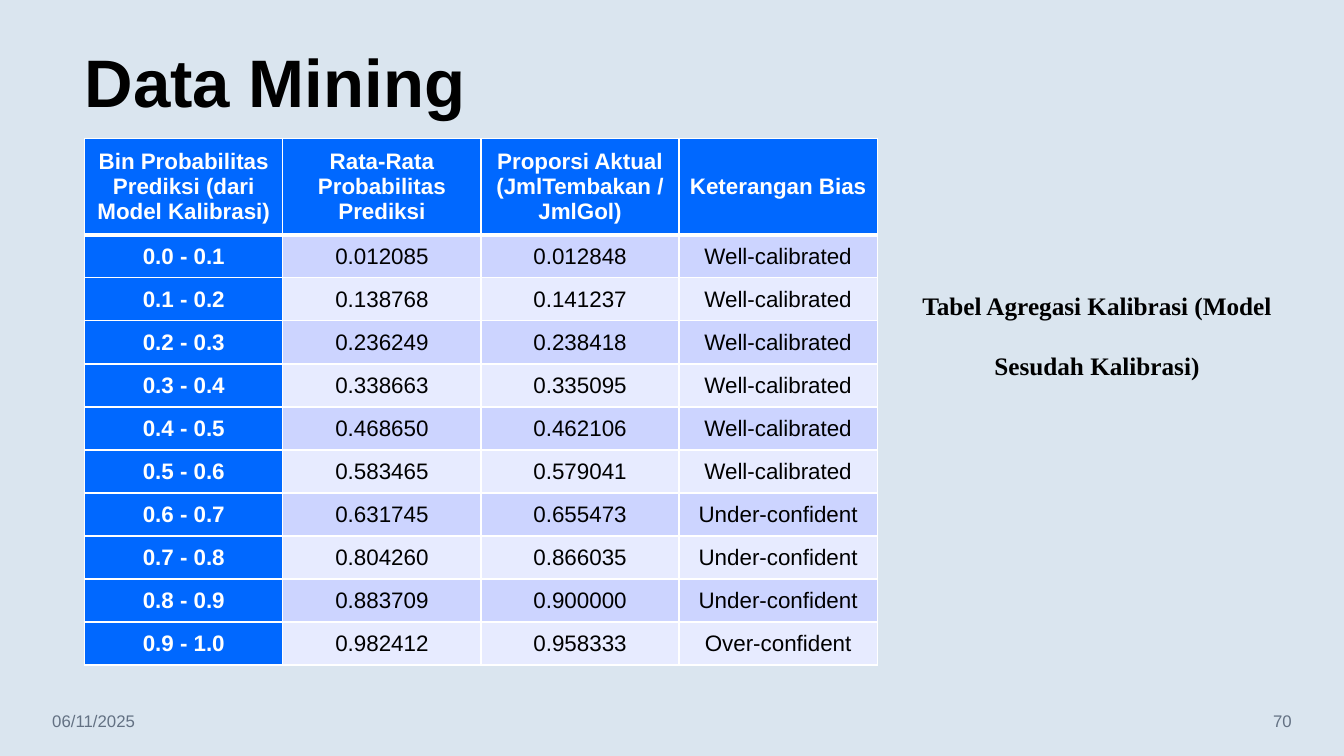
import pptx
import pptx.dml.color
import pptx.enum.text
import pptx.oxml
import pptx.oxml.ns
import pptx.util

SLIDE_W, SLIDE_H = 13.33, 7.5
MARGIN = 0.84
FOOTER_X, FOOTER_Y, FOOTER_W, FOOTER_H = 0.42, 6.95, 3, 0.4
TABLE_Y, TABLE_W, TABLE_H, HEADER_H = 1.37, 7.86, 5.12, 0.95

BLACK, WHITE, GREY = "000000", "FFFFFF", "637183"
BACKGROUND, BLUE = "DAE5EF", "0068FF"
BANDS = ["CCD4FF", "E7EBFF"]

ALIGN = pptx.enum.text.PP_ALIGN
ANCHOR = pptx.enum.text.MSO_ANCHOR
inch = pptx.util.Inches

HEADINGS = [
    "Bin Probabilitas Prediksi (dari Model Kalibrasi)",
    "Rata-Rata Probabilitas Prediksi",
    "Proporsi Aktual (JmlTembakan / JmlGol)",
    "Keterangan Bias",
]
BINS = [
    ("0.012085", "0.012848", "Well-calibrated"),
    ("0.138768", "0.141237", "Well-calibrated"),
    ("0.236249", "0.238418", "Well-calibrated"),
    ("0.338663", "0.335095", "Well-calibrated"),
    ("0.468650", "0.462106", "Well-calibrated"),
    ("0.583465", "0.579041", "Well-calibrated"),
    ("0.631745", "0.655473", "Under-confident"),
    ("0.804260", "0.866035", "Under-confident"),
    ("0.883709", "0.900000", "Under-confident"),
    ("0.982412", "0.958333", "Over-confident"),
]


def rgb(color):
    return pptx.dml.color.RGBColor.from_string(color)


def style(p, size, color, bold=False, align=ALIGN.LEFT, font="Arial"):
    p.alignment = align
    p.font.name = font
    p.font.size = pptx.util.Pt(size)
    p.font.bold = bold
    p.font.color.rgb = rgb(color)


def add_text(s, box, text, size, color, anchor=ANCHOR.MIDDLE, spacing=1.0, **look):
    tf = s.shapes.add_textbox(*map(inch, box)).text_frame
    tf.word_wrap = True
    tf.vertical_anchor = anchor
    p = tf.paragraphs[0]
    p.text = text
    p.line_spacing = spacing
    style(p, size, color, **look)
    return tf


def set_borders(cell, widths):
    """Draw white cell borders; widths maps each side (L, R, T, B) to points."""
    tc_pr = cell._tc.get_or_add_tcPr()
    for side, width in widths.items():
        tc_pr.append(pptx.oxml.parse_xml(
            f'<a:ln{side} {pptx.oxml.ns.nsdecls("a")} w="{pptx.util.Pt(width)}">'
            f'<a:solidFill><a:srgbClr val="{WHITE}"/></a:solidFill></a:ln{side}>'))


def fill_cell(cell, text, row, col):
    heading = row == 0 or col == 0
    inset = inch(0.01 if (row, col) == (0, len(HEADINGS) - 1) else 0.08)
    cell.margin_left = cell.margin_right = inset
    cell.margin_top = cell.margin_bottom = inset
    cell.vertical_anchor = ANCHOR.MIDDLE
    set_borders(cell, {"L": 1, "R": 1, "T": 3 if row == 1 else 1, "B": 3 if row == 0 else 1})
    cell.fill.solid()
    cell.fill.fore_color.rgb = rgb(BLUE if heading else BANDS[(row - 1) % 2])
    cell.text = text
    style(cell.text_frame.paragraphs[0], 16, WHITE if heading else BLACK, heading, ALIGN.CENTER)


def add_calibration_table(s):
    rows = [HEADINGS]
    for i, values in enumerate(BINS):
        rows.append([f"{i / 10:.1f} - {(i + 1) / 10:.1f}", *values])
    box = map(inch, (MARGIN, TABLE_Y, TABLE_W, TABLE_H))
    table = s.shapes.add_table(len(rows), len(HEADINGS), *box).table
    table.first_col = True
    for column in table.columns:
        column.width = inch(TABLE_W / len(HEADINGS))
    for i, values in enumerate(rows):
        table.rows[i].height = inch((TABLE_H - HEADER_H) / len(BINS) if i else HEADER_H)
        for j, text in enumerate(values):
            fill_cell(table.cell(i, j), text, i, j)


def main():
    prs = pptx.Presentation()
    prs.slide_width, prs.slide_height = inch(SLIDE_W), inch(SLIDE_H)
    s = prs.slides.add_slide(prs.slide_layouts[6])
    s.background.fill.solid()
    s.background.fill.fore_color.rgb = rgb(BACKGROUND)

    title = add_text(s, (MARGIN, 0.38, 11.68, 0.88), "Data Mining", 48, BLACK,
                     anchor=ANCHOR.BOTTOM, spacing=0.9, bold=True)
    title.margin_left = 0
    add_calibration_table(s)
    add_text(s, (8.84, 2.53, 4.08, 1.22), "Tabel Agregasi Kalibrasi (Model Sesudah Kalibrasi)",
             18, BLACK, anchor=ANCHOR.TOP, spacing=2.0, bold=True, align=ALIGN.CENTER,
             font="Times New Roman")
    add_text(s, (FOOTER_X, FOOTER_Y, FOOTER_W, FOOTER_H), "06/11/2025", 12, GREY)
    add_text(s, (SLIDE_W - FOOTER_X - FOOTER_W, FOOTER_Y, FOOTER_W, FOOTER_H), "70", 12, GREY,
             align=ALIGN.RIGHT)
    prs.save("out.pptx")


if __name__ == "__main__":
    main()
